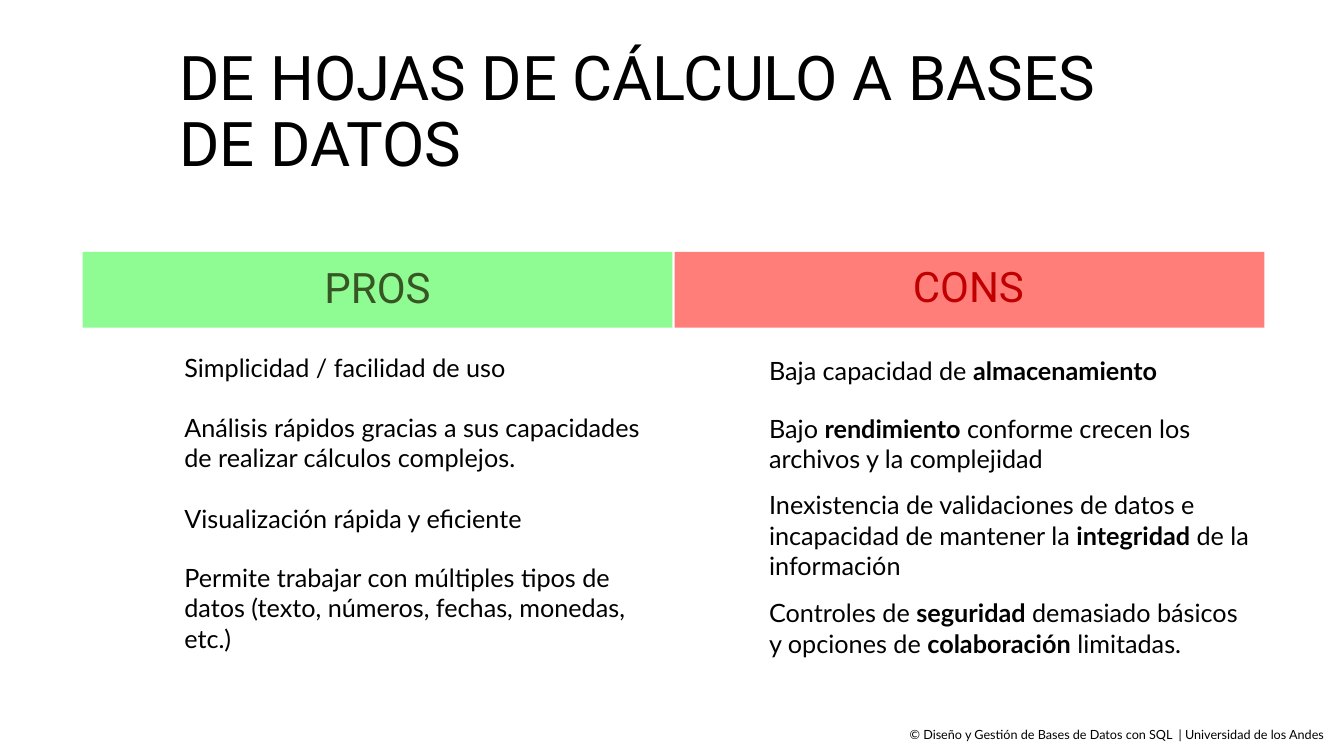
from lxml.etree import SubElement
from pptx import Presentation
from pptx.dml.color import RGBColor
from pptx.enum.shapes import MSO_SHAPE
from pptx.enum.text import MSO_ANCHOR, PP_ALIGN
from pptx.oxml.ns import qn
from pptx.util import Inches, Pt

COLORS = {
    "black": "000000",
    "pros": "73FB79",
    "pros_text": "385623",
    "cons": "FF7E79",
    "cons_text": "C00000",
}
LINE_HEIGHT = 4.07
PADDING = 1.33

PROS = [
    (46, 1, "Simplicidad / facilidad de uso"),
    (53.87, 2, "Análisis rápidos gracias a sus capacidades de realizar cálculos complejos."),
    (65.87, 1, "Visualización rápida y eficiente"),
    (73.73, 3, "Permite trabajar con múltiples tipos de datos (texto, números, fechas, monedas, etc.)"),
]
CONS = [
    (46.4, 1, "Baja capacidad de **almacenamiento**"),
    (54, 2, "Bajo **rendimiento** conforme crecen los archivos y la complejidad"),
    (64.13, 3, "Inexistencia de validaciones de datos e incapacidad de mantener la "
               "**integridad** de la información"),
    (78.4, 2, "Controles de **seguridad** demasiado básicos y opciones de "
              "**colaboración** limitadas."),
]


def write(frame, text, font="Lato", size=18, color="black", align=PP_ALIGN.LEFT, spacing=1.0):
    paragraph = frame.paragraphs[0]
    paragraph.alignment = align
    paragraph.line_spacing = spacing
    for position, words in enumerate(text.split("**")):
        if not words:
            continue
        run = paragraph.add_run()
        run.text = words
        run.font.name = font
        run.font.size = Pt(size)
        run.font.bold = position % 2 == 1
        run.font.color.rgb = RGBColor.from_string(COLORS[color])


class Page:
    def __init__(self, presentation):
        self.width = presentation.slide_width
        self.height = presentation.slide_height
        self.slide = presentation.slides.add_slide(presentation.slide_layouts[6])

    def area(self, left, top, width, height):
        return (
            int(self.width * left / 100),
            int(self.height * top / 100),
            int(self.width * width / 100),
            int(self.height * height / 100),
        )

    def band(self, area, color, opacity=100):
        band = self.slide.shapes.add_shape(MSO_SHAPE.RECTANGLE, *self.area(*area))
        band.shadow.inherit = False
        band.line.fill.background()
        band.fill.solid()
        band.fill.fore_color.rgb = RGBColor.from_string(COLORS[color])
        if opacity < 100:
            tint = band.fill._xPr.find(qn("a:solidFill"))[0]
            SubElement(tint, qn("a:alpha")).set("val", str(opacity * 1000))

    def text(self, area, text, inset=(0.05, 0.02), anchor=MSO_ANCHOR.TOP, **style):
        frame = self.slide.shapes.add_textbox(*self.area(*area)).text_frame
        frame.word_wrap = True
        frame.vertical_anchor = anchor
        frame.margin_left = frame.margin_right = Inches(inset[0])
        frame.margin_top = frame.margin_bottom = Inches(inset[1])
        write(frame, text, **style)

    def heading(self, area, text, **style):
        self.text(area, text, anchor=MSO_ANCHOR.MIDDLE, font="Roboto", spacing=0.9, **style)

    def points(self, left, width, points):
        for top, lines, point in points:
            height = PADDING + lines * LINE_HEIGHT
            self.text((left, top, width, height), point, inset=(0.1, 0.05))


def main():
    presentation = Presentation()
    presentation.slide_width = Inches(13.33)
    presentation.slide_height = Inches(7.5)
    page = Page(presentation)

    page.band((50.19, 33.33, 43.89, 10), "cons")
    page.band((6.15, 33.33, 43.89, 10), "pros", opacity=80)
    page.heading((12.98, 5.33, 73.89, 19.33), "DE HOJAS DE CÁLCULO A BASES DE DATOS", size=44)
    for left, top, width, title, color in (
        (6.15, 34, 43.89, "PROS", "pros_text"),
        (50.26, 33.87, 43.59, "CONS", "cons_text"),
    ):
        page.heading((left, top, width, 8.8), title, size=30, color=color, align=PP_ALIGN.CENTER)
    page.points(12.98, 36.38, PROS)
    page.points(56.49, 37.4, CONS)
    page.text(
        (1.5, 95.87, 97.6, 2.67),
        "© Diseño y Gestión de Bases de Datos con SQL  | Universidad de los Andes ",
        size=9,
        align=PP_ALIGN.RIGHT,
    )
    presentation.save("out.pptx")


if __name__ == "__main__":
    main()
